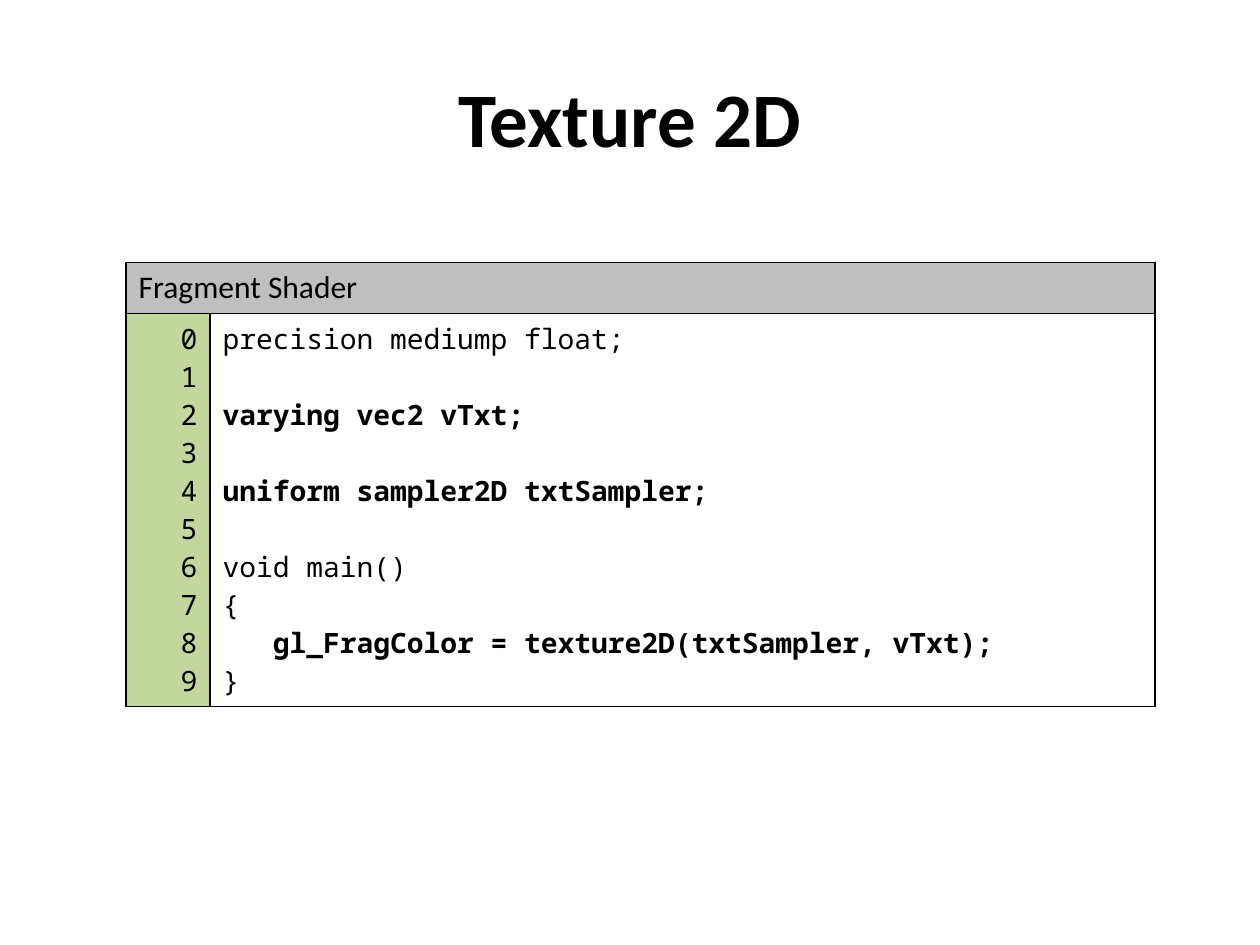
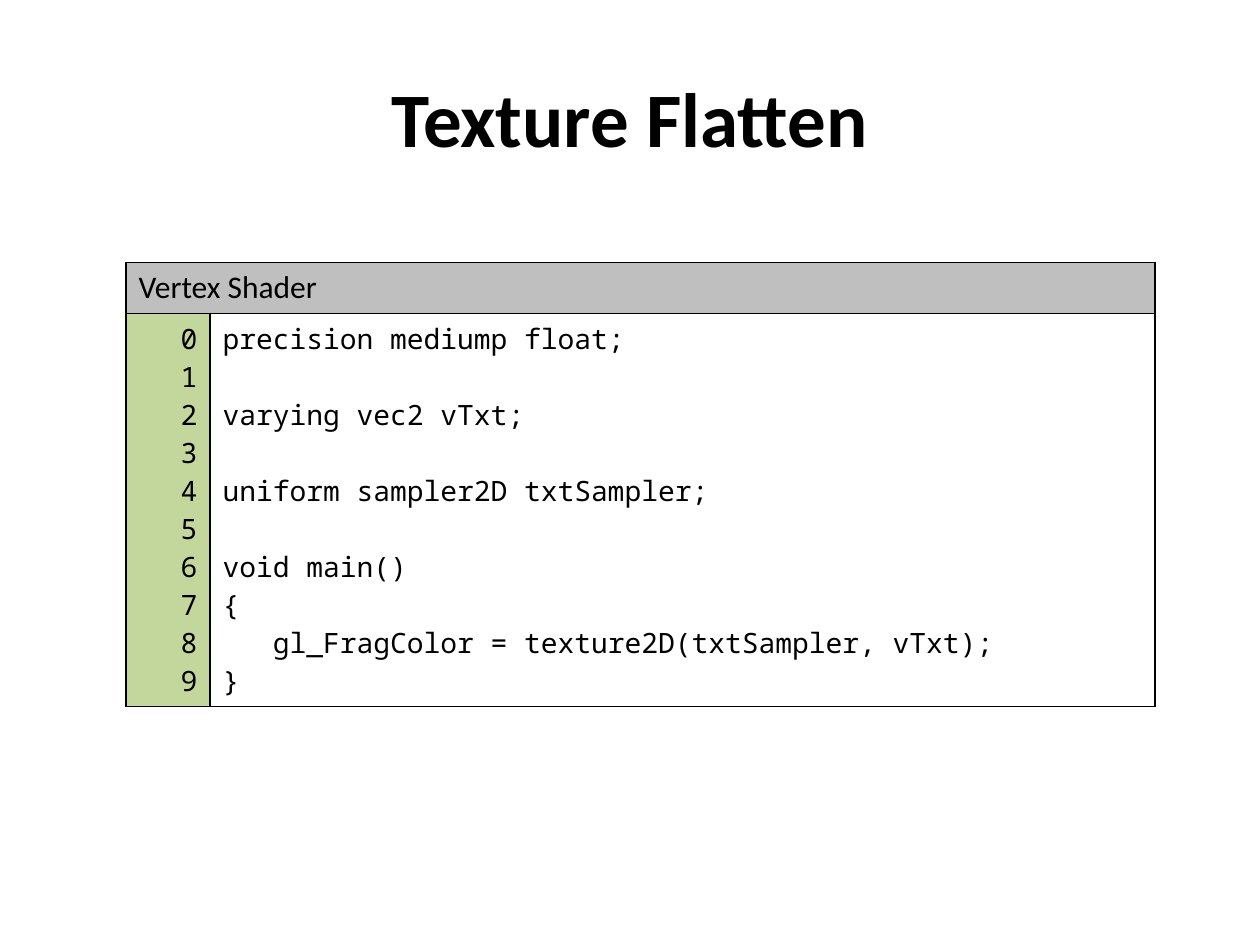
from dataclasses import dataclass

from lxml.etree import SubElement
from pptx import Presentation
from pptx.dml.color import RGBColor
from pptx.enum.text import MSO_ANCHOR, PP_ALIGN
from pptx.oxml.ns import qn
from pptx.util import Pt


@dataclass(frozen=True)
class Theme:
    text: str = "000000"
    background: str = "FFFFFF"
    header: str = "BFBFBF"
    gutter: str = "C3D69B"
    heading_font: str = "Calibri"
    code_font: str = "Noto Sans Mono"
    title_size: float = 44
    header_size: float = 18
    code_size: float = 16
    code_line: float = 21.7  # natural line height of the code font
    code_char: float = 9.6  # advance of one code character
    border: float = 1


def rgb(color):
    return RGBColor.from_string(color)


def add_text(p, text, *, size, font, color, bold=False,
             align=PP_ALIGN.LEFT, before=0, indent=0):
    """Write one formatted paragraph."""
    p.alignment = align
    p.space_before = Pt(before)
    if indent:
        p._p.get_or_add_pPr().set("marL", str(Pt(indent)))
    r = p.add_run()
    r.text = text
    r.font.size = Pt(size)
    r.font.name = font
    r.font.bold = bold
    r.font.color.rgb = rgb(color)


def next_paragraph(tf, first):
    return tf.paragraphs[0] if first else tf.add_paragraph()


class Deck:
    def __init__(self, theme):
        self.theme = theme
        self.prs = Presentation()
        self.prs.slide_width, self.prs.slide_height = Pt(720), Pt(540)
        self.s = None

    def slide(self, title):
        self.s = self.prs.slides.add_slide(self.prs.slide_layouts[6])
        fill = self.s.background.fill
        fill.solid()
        fill.fore_color.rgb = rgb(self.theme.background)
        self.title(title)

    def title(self, text):
        t = self.theme
        tf = self.s.shapes.add_textbox(Pt(36), Pt(21.6), Pt(648), Pt(90)).text_frame
        tf.word_wrap = True
        tf.vertical_anchor = MSO_ANCHOR.MIDDLE
        add_text(tf.paragraphs[0], text, size=t.title_size, font=t.heading_font,
                 color=t.text, bold=True, align=PP_ALIGN.CENTER)

    def style_cell(self, cell, color):
        cell.fill.solid()
        cell.fill.fore_color.rgb = rgb(color)
        tcPr = cell._tc.get_or_add_tcPr()
        # Borders come before the fill in the cell properties
        for i, side in enumerate(("a:lnL", "a:lnR", "a:lnT", "a:lnB")):
            ln = SubElement(tcPr, qn(side), w=str(Pt(self.theme.border)))
            solid = SubElement(ln, qn("a:solidFill"))
            SubElement(solid, qn("a:srgbClr"), val=self.theme.text)
            tcPr.insert(i, ln)

    def code_lines(self, tf, lines, bold_lines):
        """Empty lines become spacing and leading spaces become an indent."""
        t = self.theme
        skipped, first = 0, True
        for number, line in enumerate(lines):
            code = line.lstrip()
            if not code:
                skipped += 1
                continue
            add_text(next_paragraph(tf, first), code, size=t.code_size,
                     font=t.code_font, color=t.text, bold=number in bold_lines,
                     before=skipped * t.code_line,
                     indent=(len(line) - len(code)) * t.code_char)
            skipped, first = 0, False

    def listing(self, heading, lines, bold_lines=()):
        t = self.theme
        widths, heights = (48, 540), (29.2, 224.6)
        table = self.s.shapes.add_table(2, 2, Pt(72), Pt(150), Pt(sum(widths)),
                                        Pt(sum(heights))).table
        table.first_row = table.horz_banding = False
        for column, width in zip(table.columns, widths):
            column.width = Pt(width)
        for row, height in zip(table.rows, heights):
            row.height = Pt(height)
        fills = (t.header, t.header, t.gutter, t.background)
        for cell, color in zip(table.iter_cells(), fills):
            self.style_cell(cell, color)

        # Heading across both columns
        header = table.cell(0, 0)
        header.merge(table.cell(0, 1))
        add_text(header.text_frame.paragraphs[0], heading, size=t.header_size,
                 font=t.heading_font, color=t.text)

        # Line numbers and code
        numbers = table.cell(1, 0).text_frame
        for n in range(len(lines)):
            add_text(next_paragraph(numbers, n == 0), str(n), size=t.code_size,
                     font=t.code_font, color=t.text, align=PP_ALIGN.RIGHT)
        self.code_lines(table.cell(1, 1).text_frame, lines, bold_lines)


SHADER = """precision mediump float;

varying vec2 vTxt;

uniform sampler2D txtSampler;

void main()
{
   gl_FragColor = texture2D(txtSampler, vTxt);
}""".split("\n")


def main():
    deck = Deck(Theme())

    # Fragment shader with the texture lines in bold
    deck.slide("Texture 2D")
    deck.listing("Fragment Shader", SHADER, bold_lines=(2, 4, 8))

    # Same code, plain
    deck.slide("Texture Flatten")
    deck.listing("Vertex Shader", SHADER)

    deck.prs.save("out.pptx")


if __name__ == "__main__":
    main()
